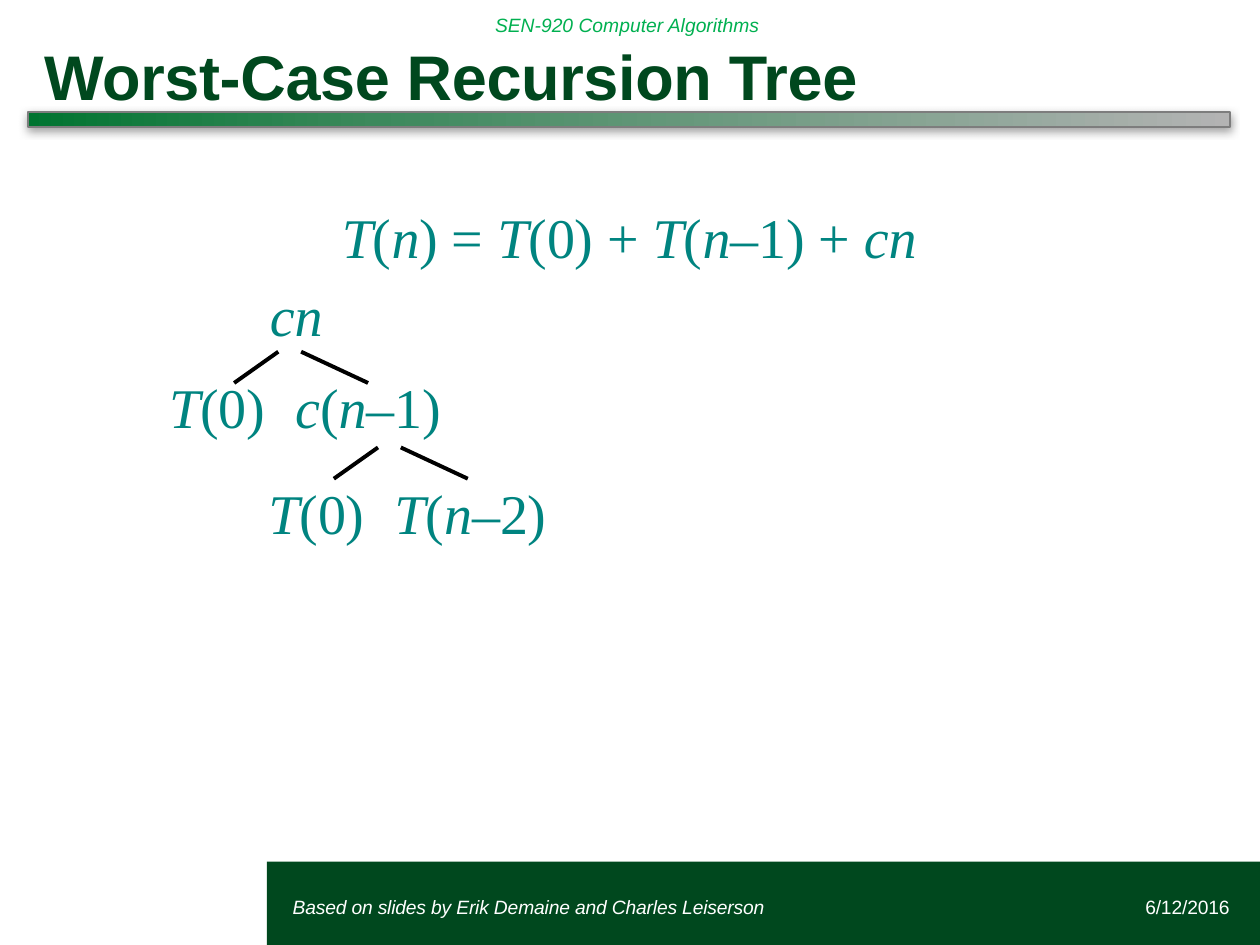
from copy import deepcopy
from itertools import groupby

from lxml.etree import SubElement
from pptx import Presentation
from pptx.dml.color import RGBColor
from pptx.enum.shapes import MSO_CONNECTOR as CONN, MSO_SHAPE as SHAPE
from pptx.enum.text import MSO_ANCHOR as ANCHOR, MSO_AUTO_SIZE as FIT, PP_ALIGN as ALIGN
from pptx.oxml.ns import qn
from pptx.util import Cm, Pt

# Content: boxes are left, top, width, height in cm
TITLE = "Worst-Case Recursion Tree"
TITLE_BOX = (0.56, 0.41, 24.23, 1.85)
BODY_BOX = (3.38, 4.09, 15.19, 6.96)
BAR_BOX = (0.56, 2.26, 24.23, 0.3)
FOOTER_BOX = (5.38, 17.37, 20.02, 1.68)

# Text, left margin, tab stop (cm), space before, space after, line spacing (pt)
LINES = [
    ("T(n) = T(0) + T(n–1) + cn", 3.51, None, 6, 0, None),
    ("cn", 2.06, None, 6, 6, None),
    ("T(0)\tc(n–1)", 0.03, 2.84, 8.1, 6, None),
    ("T(0)\tT(n–2)", 2.03, 4.85, 16.2, 0, 38.4),
]
# Text, box, inset (cm), colour, italic, alignment, character spacing
LABELS = [
    ("SEN-920 Computer Algorithms", (9.73, 0, 11.71, 1.02), 0.25, "00B050", True, ALIGN.LEFT, 0),
    ("6/12/2016", (18.87, 17.78, 5.92, 1.02), 0, "FFFFFF", False, ALIGN.RIGHT, -10),
    ("Based on slides by Erik Demaine and Charles Leiserson", (5.87, 17.78, 11.71, 1.02),
     0.03, "FFFFFF", True, ALIGN.LEFT, -10),
]
# Each tree node has a left and a right branch, relative to the left branch's top
NODES = [(5.61, 7.09), (7.62, 9.02)]
BRANCHES = [((0, 0), (-0.89, 0.63)), ((0.46, 0), (1.81, 0.63))]
GRADIENT = [(0, "007430"), (0.29, "3C895C"), (1, "B3B3B3")]


def rgb(value):
    return RGBColor.from_string(value)


def cm(values):
    return [Cm(v) for v in values]


def assign(obj, **values):
    for name, value in values.items():
        setattr(obj, name, value)


def place(sp, box):
    assign(sp, **dict(zip(("left", "top", "width", "height"), cm(box))))


def frame(sp, anchor, inset=0):
    assign(sp.text_frame, word_wrap=True, auto_size=FIT.NONE, vertical_anchor=anchor,
           margin_left=Cm(inset), margin_right=Cm(inset), margin_top=0, margin_bottom=0)
    return sp.text_frame


def add_run(p, text, color, spacing, **font):
    r = p.add_run()
    r.text = text
    assign(r.font, **font)
    r.font.color.rgb = rgb(color)
    r.font._element.set("spc", str(spacing))


def add_rect(s, box):
    sp = s.shapes.add_shape(SHAPE.RECTANGLE, *cm(box))
    sp.shadow.inherit = False
    return sp


prs = Presentation()
assign(prs, slide_width=Cm(25.4), slide_height=Cm(19.05))
s = prs.slides.add_slide(prs.slide_layouts[1])
title, body = s.placeholders

# Footer band
band = add_rect(s, FOOTER_BOX)
band.fill.solid()
band.fill.fore_color.rgb = rgb("00481E")
band.line.fill.background()

# Gradient bar with a soft shadow
bar = add_rect(s, BAR_BOX)
bar.fill.gradient()
bar.fill.gradient_angle = 0
stops = bar._element.spPr.find(".//" + qn("a:gsLst"))
stops.append(deepcopy(stops[-1]))
for stop, (position, color) in zip(bar.fill.gradient_stops, GRADIENT):
    stop.position = position
    stop.color.rgb = rgb(color)
bar.line.color.rgb = rgb("7D7D7D")
bar.line.width = Pt(1)
effects = bar._element.spPr.find(qn("a:effectLst"))
shadow = SubElement(effects, qn("a:outerShdw"), blurRad=str(Pt(5)), dist=str(Pt(2)),
                    dir="5400000", rotWithShape="0")
shade = SubElement(shadow, qn("a:srgbClr"), val="808080")
SubElement(shade, qn("a:alpha"), val="75000")

# Title
place(title, TITLE_BOX)
p = frame(title, ANCHOR.TOP, 0).paragraphs[0]
assign(p, alignment=ALIGN.LEFT, line_spacing=Pt(52.8))
p._p.get_or_add_pPr().set("marL", str(Cm(0.33)))
add_run(p, TITLE, "00481E", -20, name="Arial", size=Pt(36), bold=True)

# Recurrence and tree nodes: letters are italic, all else upright
place(body, BODY_BOX)
tf = frame(body, ANCHOR.TOP)
for i, (text, margin, tab, before, after, spacing) in enumerate(LINES):
    p = tf.add_paragraph() if i else tf.paragraphs[0]
    assign(p, alignment=ALIGN.LEFT, space_before=Pt(before), space_after=Pt(after),
           line_spacing=Pt(spacing) if spacing else 1.0)
    pPr = p._p.get_or_add_pPr()
    pPr.set("marL", str(Cm(margin)))
    pPr.set("indent", "0")
    SubElement(pPr, qn("a:buNone"))
    if tab:
        tabs = SubElement(pPr, qn("a:tabLst"))
        SubElement(tabs, qn("a:tab"), pos=str(Cm(tab)), algn="l")
    for italic, chars in groupby(text, str.isalpha):
        add_run(p, "".join(chars), "008480", -10, name="Times New Roman",
                size=Pt(32), italic=italic)

# Tree branches
for x, y in NODES:
    for (x1, y1), (x2, y2) in BRANCHES:
        line = s.shapes.add_connector(CONN.STRAIGHT, *cm((x + x1, y + y1, x + x2, y + y2)))
        line.line.color.rgb = rgb("000000")
        line.line.width = Pt(2.25)
        SubElement(line._element.spPr, qn("a:effectLst"))

# Header, date and credit
for text, box, inset, color, italic, align, spacing in LABELS:
    p = frame(s.shapes.add_textbox(*cm(box)), ANCHOR.MIDDLE, inset).paragraphs[0]
    p.alignment = align
    add_run(p, text, color, spacing, name="Arial", size=Pt(11), italic=italic)

prs.save("out.pptx")
